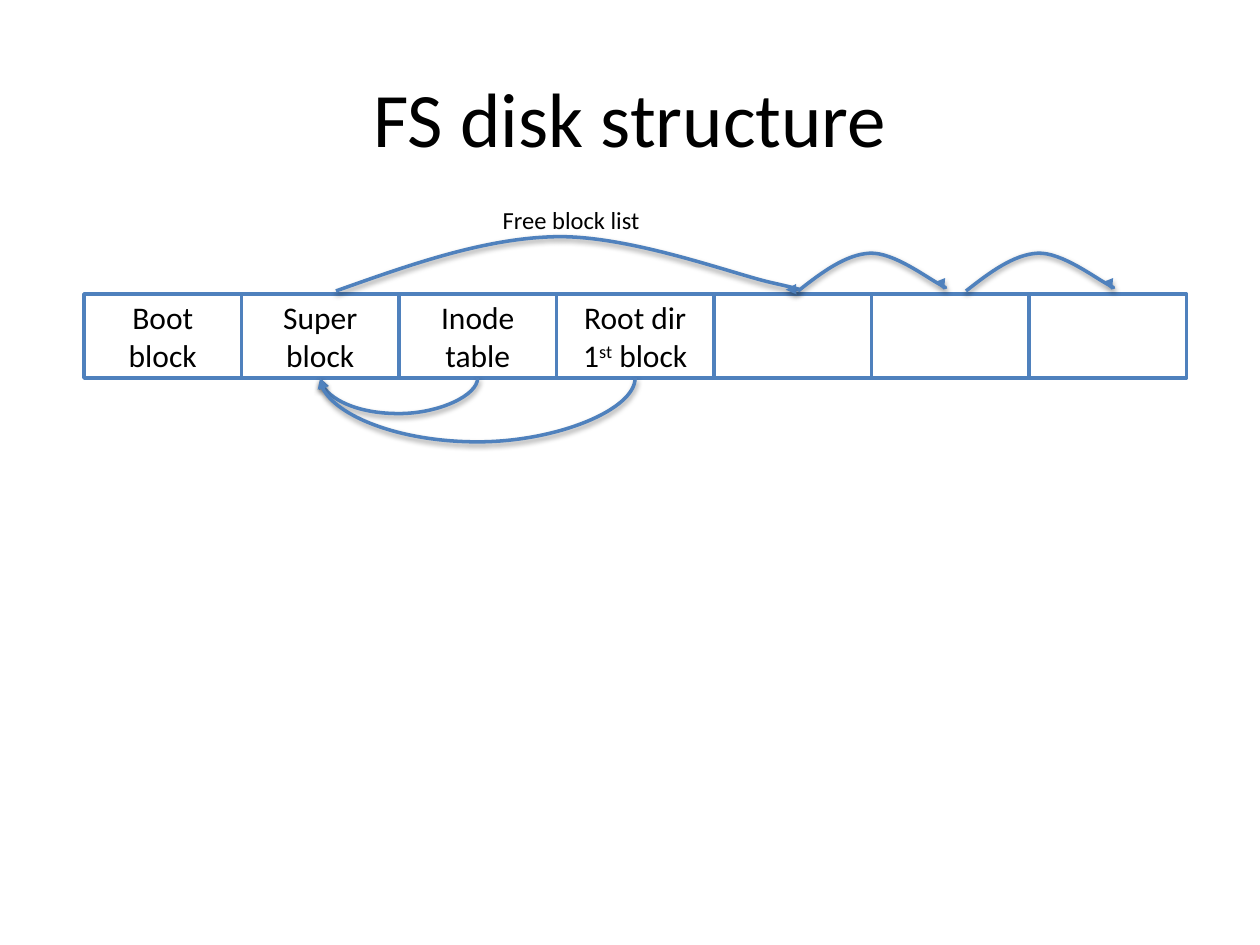
from lxml import etree
from pptx import Presentation
from pptx import util as u
from pptx.dml.color import RGBColor
from pptx.enum import shapes, text
from pptx.oxml import parse_xml
from pptx.oxml.ns import nsdecls, qn

BLACK = RGBColor(0x00, 0x00, 0x00)
WHITE = RGBColor(0xFF, 0xFF, 0xFF)
BLUE = RGBColor(0x4F, 0x81, 0xBD)
FONT = "Calibri"

# The row of disk blocks, in points
ROW_LEFT, ROW_TOP, BLOCK_WIDTH, BLOCK_HEIGHT = 48, 168, 90, 48
ROW_BOTTOM = ROW_TOP + BLOCK_HEIGHT
HOP_TOP = 166.3
THIN = 0.1  # width of a curved connector whose ends are level

# Each block holds (words, superscript) runs
BLOCKS = [
    [("Boot block", False)],
    [("Super block", False)],
    [("Inode table", False)],
    [("Root dir 1", False), ("st", True), (" block", False)],
    [], [], [],
]

# Bezier points of the free-list hops, measured from where each hop starts
SHORT_HOP = [(13.7, -10.8), (27.4, -20.9), (41, -21.6),
             (54.7, -22.3), (74.2, -7.2), (81.4, -3.6),
             (87.8, 0), (85.7, -0.7), (83.5, -0.7)]
LONG_HOP = [(42.5, -15.1), (85, -30.2), (126, -31),
            (167.8, -31.7), (226, -10.1), (247.7, -5),
            (270, 0), (262.8, -0.7), (257, -0.7)]


def add_words(box, runs, size):
    frame = box.text_frame
    frame.word_wrap = True
    frame.vertical_anchor = text.MSO_ANCHOR.MIDDLE
    para = frame.paragraphs[0]
    para.alignment = text.PP_ALIGN.CENTER
    for words, raised in runs:
        span = para.add_run()
        span.text = words
        span.font.name = FONT
        span.font.size = u.Pt(size)
        span.font.color.rgb = BLACK
        if raised:
            span.font._element.set("baseline", "30000")


def add_label(page, words, size, left, top, width, height):
    box = page.shapes.add_textbox(u.Pt(left), u.Pt(top), u.Pt(width), u.Pt(height))
    add_words(box, [(words, False)], size)


def add_block(page, index, runs):
    box = page.shapes.add_shape(
        shapes.MSO_SHAPE.RECTANGLE, u.Pt(ROW_LEFT + index * BLOCK_WIDTH),
        u.Pt(ROW_TOP), u.Pt(BLOCK_WIDTH), u.Pt(BLOCK_HEIGHT))
    box.shadow.inherit = False
    box.fill.solid()
    box.fill.fore_color.rgb = WHITE
    box.line.color.rgb = BLUE
    box.line.width = u.Pt(2)
    add_words(box, runs, 18)
    return box


def style_arrow(arrow):
    """Blue line, triangle head and soft shadow."""
    arrow.line.color.rgb = BLUE
    arrow.line.width = u.Pt(2)
    properties = arrow._element.spPr
    etree.SubElement(properties.find(qn("a:ln")), qn("a:tailEnd"), type="triangle")
    properties.append(parse_xml(
        f'<a:effectLst {nsdecls("a")}><a:outerShdw blurRad="40000" dist="20000" '
        'dir="5400000" rotWithShape="0"><a:srgbClr val="000000">'
        '<a:alpha val="38000"/></a:srgbClr></a:outerShdw></a:effectLst>'))


def add_hop(page, left, offsets):
    builder = page.shapes.build_freeform(u.Pt(left), u.Pt(HOP_TOP))
    builder.add_line_segments(
        [(u.Pt(left + x), u.Pt(HOP_TOP + y)) for x, y in offsets], close=False)
    hop = builder.convert_to_shape()
    hop.fill.background()
    # Every three points become one Bezier segment
    outline = hop._element.spPr.find(".//" + qn("a:path"))
    lines = outline.findall(qn("a:lnTo"))
    for first in range(0, len(lines), 3):
        curve = etree.SubElement(outline, qn("a:cubicBezTo"))
        for line in lines[first:first + 3]:
            curve.append(line[0])
            outline.remove(line)
    style_arrow(hop)


def add_pointer(page, source, target, sag):
    """Curve hanging below the row from one block to another."""
    link = page.shapes.add_connector(shapes.MSO_CONNECTOR.CURVE, 0, 0, 0, 0)
    link.begin_connect(source, 2)
    link.end_connect(target, 2)
    start = source.left + source.width // 2
    span = target.left - source.left
    # A level curve is a thin upright one turned on its side
    link.left = start + span // 2 - u.Pt(THIN / 2)
    link.top = u.Pt(ROW_BOTTOM) - span // 2
    link.width, link.height = u.Pt(THIN), span
    properties = link._element.spPr
    frame = properties.find(qn("a:xfrm"))
    frame.set("rot", "16200000")
    frame.set("flipH", "1")
    guides = properties.find(qn("a:prstGeom")).get_or_add_avLst()
    etree.SubElement(guides, qn("a:gd"), name="adj1",
                     fmla=f"val {round(sag / THIN * 100000)}")
    style_arrow(link)


def main():
    deck = Presentation()
    deck.slide_width, deck.slide_height = u.Pt(720), u.Pt(540)
    page = deck.slides.add_slide(deck.slide_layouts[6])

    # Title
    add_label(page, "FS disk structure", 44, 36, 21.6, 648, 90)

    # Disk blocks
    blocks = [add_block(page, index, runs) for index, runs in enumerate(BLOCKS)]

    # Free block list
    add_hop(page, 552, SHORT_HOP)
    add_hop(page, 192, LONG_HOP)
    add_label(page, "Free block list", 14, 266.4, 113, 120, 25)

    # Super block pointers
    add_pointer(page, blocks[1], blocks[2], 18)
    add_pointer(page, blocks[1], blocks[3], 32.25)

    # Last free-list hop
    add_hop(page, 456, SHORT_HOP)

    deck.save("out.pptx")


if __name__ == "__main__":
    main()
